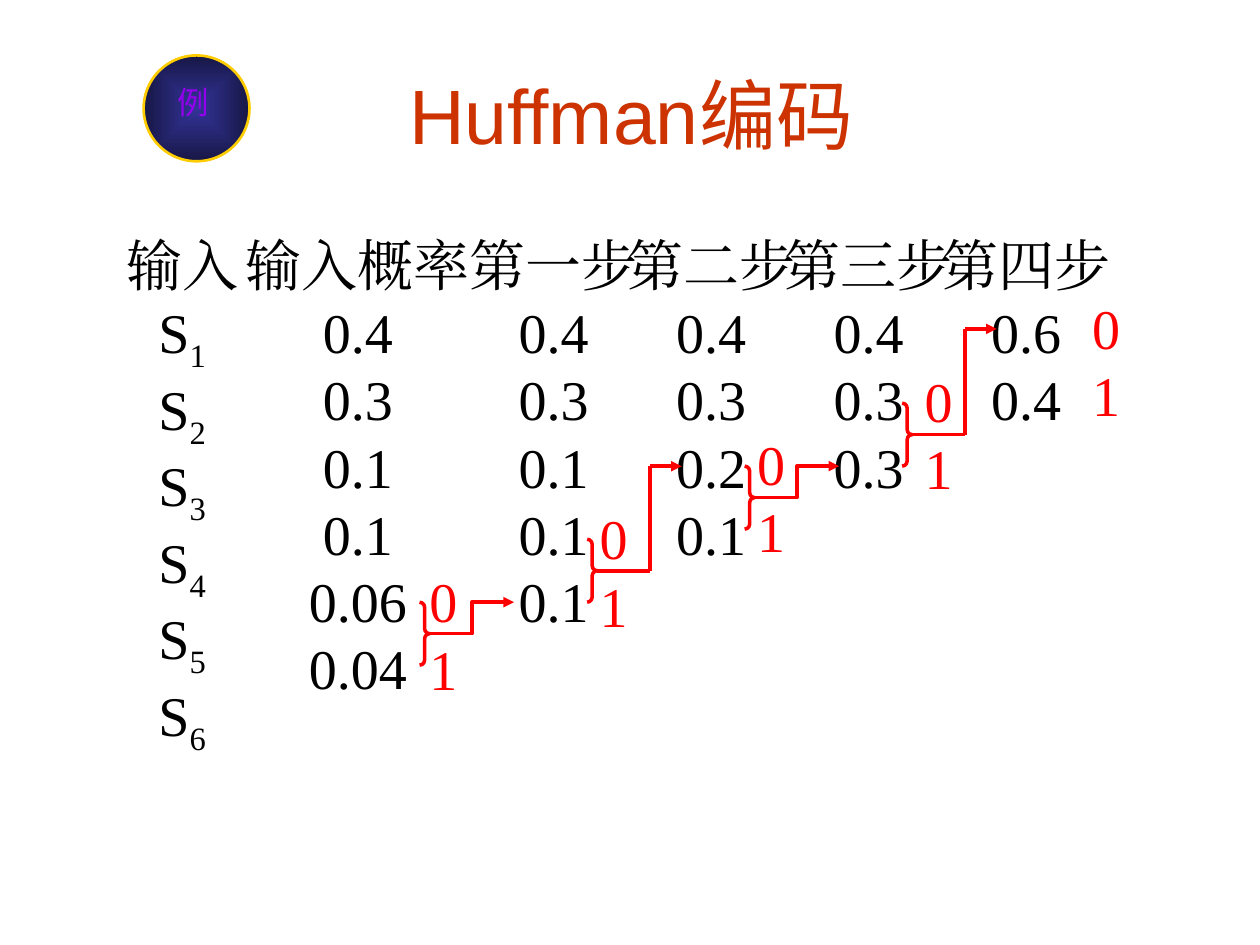
from lxml import etree
from pptx import Presentation
from pptx.dml.color import RGBColor
from pptx.enum import shapes, text
from pptx.oxml import ns
from pptx.util import Inches, Pt

COLORS = {"title": "CC3300", "body": "000000", "code": "FF0000",
          "center": "333399", "edge": "171746", "ring": "FFCC00",
          "badge": "9400ED"}
SERIF = "Times New Roman"
HAN = "Noto Sans CJK JP"
COLUMN_TOP = 1.78

# left, width, height, rows
COLUMNS = [
    (1.85, 1.98, 3.84, ["输入概率", "0.4", "0.3", "0.1", "0.1", "0.06", "0.04"]),
    (3.63, 1.53, 3.3, ["第一步", "0.4", "0.3", "0.1", "0.1", "0.1"]),
    (4.88, 1.53, 2.77, ["第二步", "0.4", "0.3", "0.2", "0.1"]),
    (6.13, 1.53, 2.77, ["第三步", "0.4", "0.3", "0.3"]),
    (7.38, 1.53, 2.24, ["第四步", "0.6", "0.4"]),
]
# left and top of each brace, and the height its arrow arrives at
MERGES = [(3.33, 4.78, 4.78), (4.66, 4.28, 3.7),
          (5.91, 3.7, 3.7), (7.16, 3.2, 2.61)]
CODE_PLACES = [(3.31, 4.45), (4.66, 3.95), (5.91, 3.36), (7.24, 2.86), (8.57, 2.28)]


def color(name):
    return RGBColor.from_string(COLORS[name])


def add_span(para, words, size=32, font=SERIF, ink="body", subscript=False):
    span = para.add_run()
    span.text = words
    span.font.size = Pt(size)
    span.font.name = font
    span.font.color.rgb = color(ink)
    properties = span.font._element
    east_asian = etree.SubElement(properties, ns.qn("a:ea"))
    east_asian.set("typeface", font)
    if subscript:
        properties.set("baseline", "-25000")


def add_text(page, place, rows, align=text.PP_ALIGN.CENTER,
             anchor=text.MSO_ANCHOR.TOP, wrap=False, **style):
    """Each row is a string or a list of (words, style) spans."""
    box = page.shapes.add_textbox(*map(Inches, place))
    frame = box.text_frame
    frame.word_wrap = wrap
    frame.auto_size = text.MSO_AUTO_SIZE.NONE
    frame.vertical_anchor = anchor
    for index, row in enumerate(rows):
        para = frame.add_paragraph() if index else frame.paragraphs[0]
        para.alignment = align
        for words, extra in [(row, {})] if isinstance(row, str) else row:
            add_span(para, words, **{**style, **extra})


def add_badge(page):
    disc = page.shapes.add_shape(shapes.MSO_SHAPE.OVAL, Inches(1.14), Inches(0.44),
                                 Inches(0.84), Inches(0.84))
    disc.shadow.inherit = False
    disc.line.color.rgb = color("ring")
    disc.line.width = Pt(1.5)
    disc.fill.gradient()
    for stop, name, position in zip(disc.fill.gradient_stops, ("center", "edge"), (0, 1)):
        stop.color.rgb = color(name)
        stop.position = position
    gradient = disc._element.spPr.find(ns.qn("a:gradFill"))
    linear = gradient.find(ns.qn("a:lin"))
    radial = etree.Element(ns.qn("a:path"), path="rect")
    etree.SubElement(radial, ns.qn("a:fillToRect"),
                     dict.fromkeys("ltrb", "50000"))
    gradient.replace(linear, radial)
    add_text(page, (1.31, 0.61, 0.5, 0.5), ["例"], align=text.PP_ALIGN.LEFT,
             size=18, font=HAN, ink="badge")


def add_line(page, start, end, kind=shapes.MSO_CONNECTOR.STRAIGHT, arrow=False):
    line = page.shapes.add_connector(kind, *map(Inches, (*start, *end)))
    line.line.color.rgb = color("code")
    line.line.width = Pt(2)
    if arrow:
        etree.SubElement(line.line._get_or_add_ln(), ns.qn("a:tailEnd"), type="triangle")
    etree.SubElement(line._element.spPr, ns.qn("a:effectLst"))


def add_brace(page, left, top):
    brace = page.shapes.add_shape(shapes.MSO_SHAPE.RIGHT_BRACE, Inches(left), Inches(top),
                                  Inches(0.08), Inches(0.5))
    brace.shadow.inherit = False
    brace.fill.background()
    brace.line.color.rgb = color("code")
    brace.line.width = Pt(2)
    brace.adjustments[0] = 0.5


def add_merge(page, left, top, target):
    """Brace two rows and lead an arrow to their sum in the next column."""
    add_brace(page, left, top)
    start = (left + 0.08, top + 0.25)
    if target == top:
        add_line(page, start, (left + 0.75, target),
                 shapes.MSO_CONNECTOR.ELBOW, arrow=True)
        return
    turn = left + 0.5
    points = [start, (turn, start[1]), (turn, target), (turn + 0.25, target)]
    for index in range(3):
        add_line(page, points[index], points[index + 1], arrow=index == 2)


def main():
    deck = Presentation()
    deck.slide_width, deck.slide_height = Inches(10), Inches(7.5)
    page = deck.slides.add_slide(deck.slide_layouts[6])

    add_text(page, (0.51, 0.44, 9, 0.92),
             [[("Huffman", {"font": "Arial"}), ("编码", {"font": HAN})]],
             anchor=text.MSO_ANCHOR.MIDDLE, wrap=True, size=44, ink="title")
    add_badge(page)

    symbols = [[("S", {}), (str(number), {"subscript": True})] for number in range(1, 7)]
    add_text(page, (0.9, COLUMN_TOP, 1.09, 4.28), ["输入", *symbols])
    for left, width, height, rows in COLUMNS:
        add_text(page, (left, COLUMN_TOP, width, height), rows)
    for merge in MERGES:
        add_merge(page, *merge)
    for left, top in CODE_PLACES:
        add_text(page, (left, top, 0.42, 1.17), ["0", "1"],
                 align=text.PP_ALIGN.LEFT, ink="code")

    deck.save("out.pptx")


if __name__ == "__main__":
    main()
